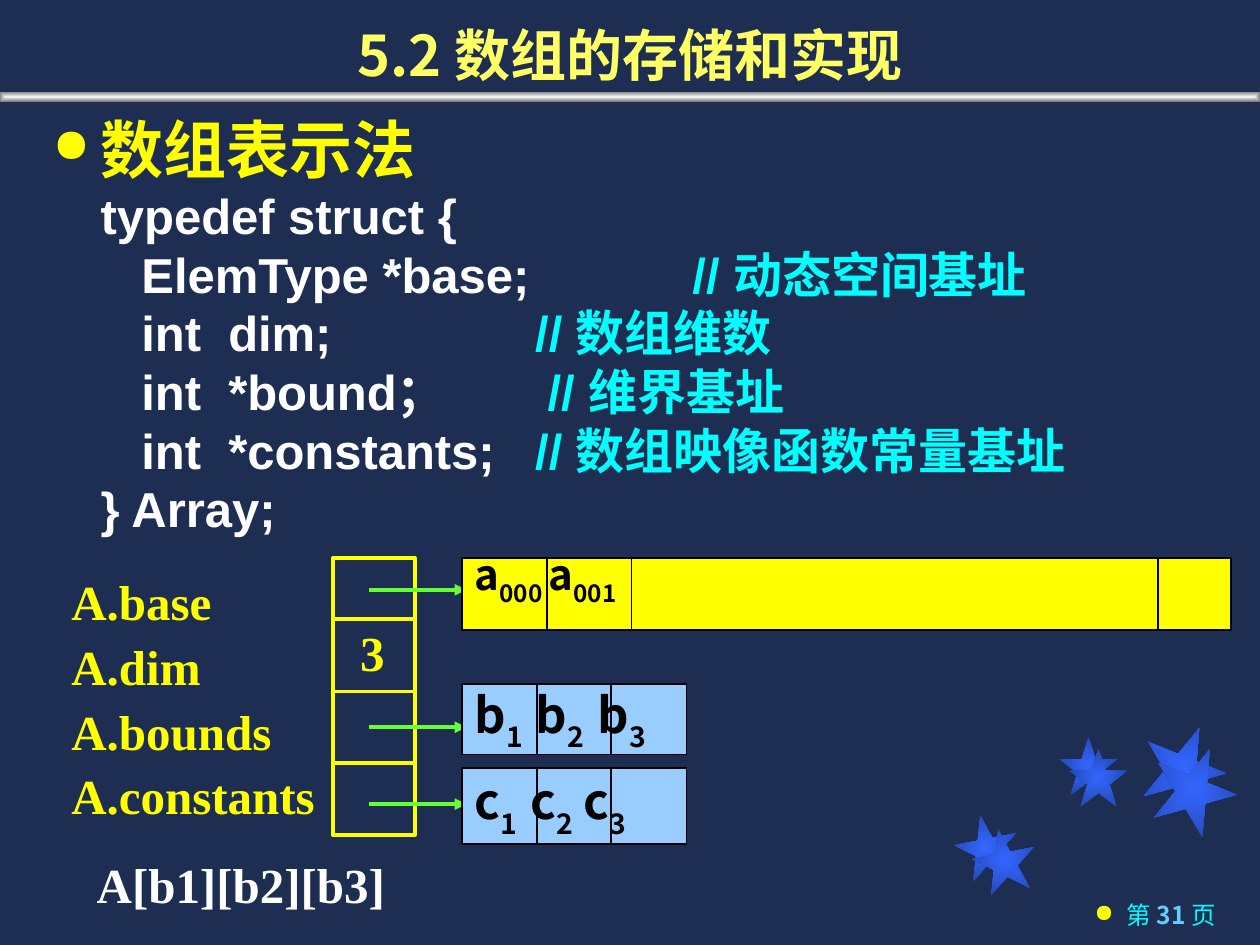
from lxml import etree
from pptx import Presentation
from pptx.dml.color import RGBColor
from pptx.enum import shapes, text
from pptx.oxml import ns
from pptx.util import Cm, Pt

CJK, SERIF, SANS = "Noto Sans CJK SC", "Times New Roman", "Arial"
YELLOW, CYAN, WHITE, BLACK, GREEN = "FFFF00", "00FFFF", "FFFFFF", "000000", "66FF33"


def color(value):
    """Turn a hex string into a colour."""
    return RGBColor.from_string(value)


def add_element(parent, tag, **attributes):
    """Append a DrawingML element and return it."""
    values = {name: str(value) for name, value in attributes.items()}
    return etree.SubElement(parent, ns.qn(f"a:{tag}"), values)


def add_box(slide, kind, left, top, width, height, fill=None, line=None, weight=1):
    """Add a preset shape with an optional plain fill and outline."""
    shape = slide.shapes.add_shape(kind, Cm(left), Cm(top), Cm(width), Cm(height))
    shape.shadow.inherit = False
    if fill:
        shape.fill.solid()
        shape.fill.fore_color.rgb = color(fill)
    else:
        shape.fill.background()
    if line:
        shape.line.color.rgb = color(line)
        shape.line.width = Pt(weight)
    else:
        shape.line.fill.background()
    return shape


def add_glow(slide, kind, left, top, width, height, inner, outer):
    """Add a shape shaded from its centre outwards."""
    shape = add_box(slide, kind, left, top, width, height)
    shape.fill.gradient()
    for stop, value in zip(shape.fill.gradient_stops, (inner, outer)):
        stop.color.rgb = color(value)
    gradient = shape._element.spPr.find(ns.qn("a:gradFill"))
    gradient.remove(gradient.find(ns.qn("a:lin")))
    center = add_element(gradient, "path", path="shape")
    add_element(center, "fillToRect", l=50000, t=50000, r=50000, b=50000)
    return shape


def add_line(slide, start, end, line, weight, arrow=False):
    """Add a straight line, with an arrowhead at its end if asked."""
    connector = slide.shapes.add_connector(
        shapes.MSO_CONNECTOR.STRAIGHT, *(Cm(value) for value in start + end))
    connector.line.color.rgb = color(line)
    connector.line.width = Pt(weight)
    if arrow:
        add_element(connector.line._get_or_add_ln(), "tailEnd", type="triangle")
    add_element(connector._element.spPr, "effectLst")


def add_frame(slide, left, top, width, height, top_inset=0.13):
    """Add an empty wrapping text box and return its frame."""
    frame = slide.shapes.add_textbox(Cm(left), Cm(top), Cm(width), Cm(height)).text_frame
    frame.word_wrap = True
    frame.margin_top = Cm(top_inset)
    return frame


def add_run(paragraph, words, size, font, value, bold=True, baseline=0):
    """Add a formatted run to a paragraph."""
    run = paragraph.add_run()
    run.text = words
    run.font.size, run.font.name, run.font.bold = Pt(size), font, bold
    run.font.color.rgb = color(value)
    properties = run._r.get_or_add_rPr()
    add_element(properties, "ea", typeface=CJK)
    if baseline:
        properties.set("baseline", str(baseline * 1000))


def set_bullet(paragraph, indent, scale=75):
    """Give a paragraph a yellow round bullet with a hanging indent."""
    properties = paragraph._p.get_or_add_pPr()
    properties.set("marL", str(Cm(indent)))
    properties.set("indent", str(-Cm(indent)))
    add_element(add_element(properties, "buClr"), "srgbClr", val=YELLOW)
    add_element(properties, "buSzPct", val=scale * 1000)
    add_element(properties, "buChar", char="●")


def set_tabs(paragraph, stops):
    """Set left tab stops on a paragraph."""
    tabs = add_element(paragraph._p.get_or_add_pPr(), "tabLst")
    for stop in stops:
        add_element(tabs, "tab", pos=Cm(stop), algn="l")


def add_background(slide):
    """Paint the background, the stars and the bar under the title."""
    slide.background.fill.solid()
    slide.background.fill.fore_color.rgb = color("1E2E53")
    stars = [(19.25, 16.43, 1.27, 349), (21.36, 14.86, 1.17, 0), (23.01, 14.61, 1.7, 22),
             (19.61, 16.71, 1.27, 349), (21.56, 15.09, 1.17, 0), (23.22, 15.04, 1.7, 22)]
    for left, top, size, angle in stars:
        star = add_glow(slide, shapes.MSO_SHAPE.STAR_5_POINT, left, top, size, size,
                        "3366FF", "2449B6")
        star.rotation = angle
    add_glow(slide, shapes.MSO_SHAPE.RECTANGLE, 0, 1.85, 25.4, 0.2, "F2F2F2", "808080")


def add_title(slide):
    """Add the slide title."""
    frame = add_frame(slide, 0, 0, 25.4, 1.9)
    frame.vertical_anchor = text.MSO_ANCHOR.BOTTOM
    frame.paragraphs[0].alignment = text.PP_ALIGN.CENTER
    add_run(frame.paragraphs[0], "5.2 数组的存储和实现", 32, CJK, "FFFF66")


def add_page_number(slide):
    """Add the page number line at the lower right."""
    paragraph = add_frame(slide, 18.08, 18.14, 6.68, 0.91, 0).paragraphs[0]
    paragraph.alignment = text.PP_ALIGN.RIGHT
    set_bullet(paragraph, 0.65, 100)
    add_run(paragraph, "第 ", 14, CJK, CYAN, False)
    add_run(paragraph, "31 ", 14, CJK, "66CCFF")
    add_run(paragraph, "页", 14, CJK, CYAN, False)


def add_code(slide):
    """Add the heading and the struct definition with its comments."""
    frame = add_frame(slide, 0.81, 2.03, 24, 9.37)
    heading = frame.paragraphs[0]
    set_bullet(heading, 0.97)
    heading.line_spacing = Pt(45)
    add_run(heading, "数组表示法", 36, SANS, YELLOW)
    lines = [("typedef struct {", "", 0),
             ("   ElemType *base;", "// 动态空间基址", 12.9),
             ("   int  dim;", "// 数组维数", 9.73),
             ("   int  *bound；", "// 维界基址", 9.98),
             ("   int  *constants;", "// 数组映像函数常量基址", 9.73),
             ("} Array;", "", 0)]
    for code, comment, stop in lines:
        paragraph = frame.add_paragraph()
        set_tabs(paragraph, [0.97, stop] if comment else [0.97])
        paragraph.line_spacing = Pt(33.5)
        add_run(paragraph, "\t" + code, 28, SANS, WHITE)
        if comment:
            add_run(paragraph, "\t" + comment, 28, SANS, CYAN)


def add_serif(slide, left, top, width, height, lines, value, spacing=None):
    """Add bold serif lines."""
    frame = add_frame(slide, left, top, width, height)
    frame.text = "\n".join(lines)
    for paragraph in frame.paragraphs:
        paragraph.line_spacing = spacing
        font = paragraph.runs[0].font
        font.size, font.name, font.bold = Pt(28), SERIF, True
        font.color.rgb = color(value)


def add_record(slide):
    """Add the record with its four fields and their pointers."""
    left, right = 6.71, 8.36
    add_box(slide, shapes.MSO_SHAPE.RECTANGLE, left, 11.25, right - left, 5.59,
            line=YELLOW, weight=2.25)
    for y in (12.47, 13.94, 15.39):
        add_line(slide, (left, y), (right, y), YELLOW, 2.25)
    add_serif(slide, 1.19, 11.28, 5.64, 5.49,
              ["A.base", "A.dim", "A.bounds", "A.constants"], YELLOW, 1.1)
    add_serif(slide, 7.01, 12.42, 1.3, 1.45, ["3"], YELLOW)
    for y in (11.89, 14.66, 16.21):
        add_line(slide, (7.44, y), (9.4, y), GREEN, 2.25, True)


def add_cells(slide, top, width, height, fill, dividers, text_top, size, letter, indices, stops):
    """Add a row of cells with subscripted names."""
    left = 9.32
    add_box(slide, shapes.MSO_SHAPE.RECTANGLE, left, top, width, height, fill, BLACK)
    for x in dividers:
        add_line(slide, (x, top), (x, top + height), BLACK, 1)
    paragraph = add_frame(slide, left, text_top, width, 1.45, 0).paragraphs[0]
    set_tabs(paragraph, stops)
    for position, index in enumerate(indices):
        add_run(paragraph, ("\t" if position else "") + letter, size, CJK, BLACK)
        add_run(paragraph, index, size, CJK, BLACK, baseline=-30)


def main():
    """Build the slide and save it."""
    presentation = Presentation()
    presentation.slide_width, presentation.slide_height = Cm(25.4), Cm(19.05)
    slide = presentation.slides.add_slide(presentation.slide_layouts[6])
    add_background(slide)
    add_page_number(slide)
    add_title(slide)
    add_code(slide)
    add_record(slide)
    thirds, blue = (10.82, 12.31), "99CCFF"
    add_cells(slide, 13.79, 4.52, 1.42, blue, thirds, 13.79, 28, "b", "123", (1.23, 2.48))
    add_cells(slide, 15.49, 4.52, 1.52, blue, thirds, 15.54, 28, "c", "123", (1.12, 2.2))
    add_cells(slide, 11.25, 15.49, 1.45, YELLOW, (11.02, 12.73, 23.34), 11.05, 24, "a",
              ("000", "001"), (1.49,))
    add_serif(slide, 1.7, 17.09, 8.92, 1.45, ["A[b1][b2][b3]"], WHITE)
    presentation.save("out.pptx")


if __name__ == "__main__":
    main()
